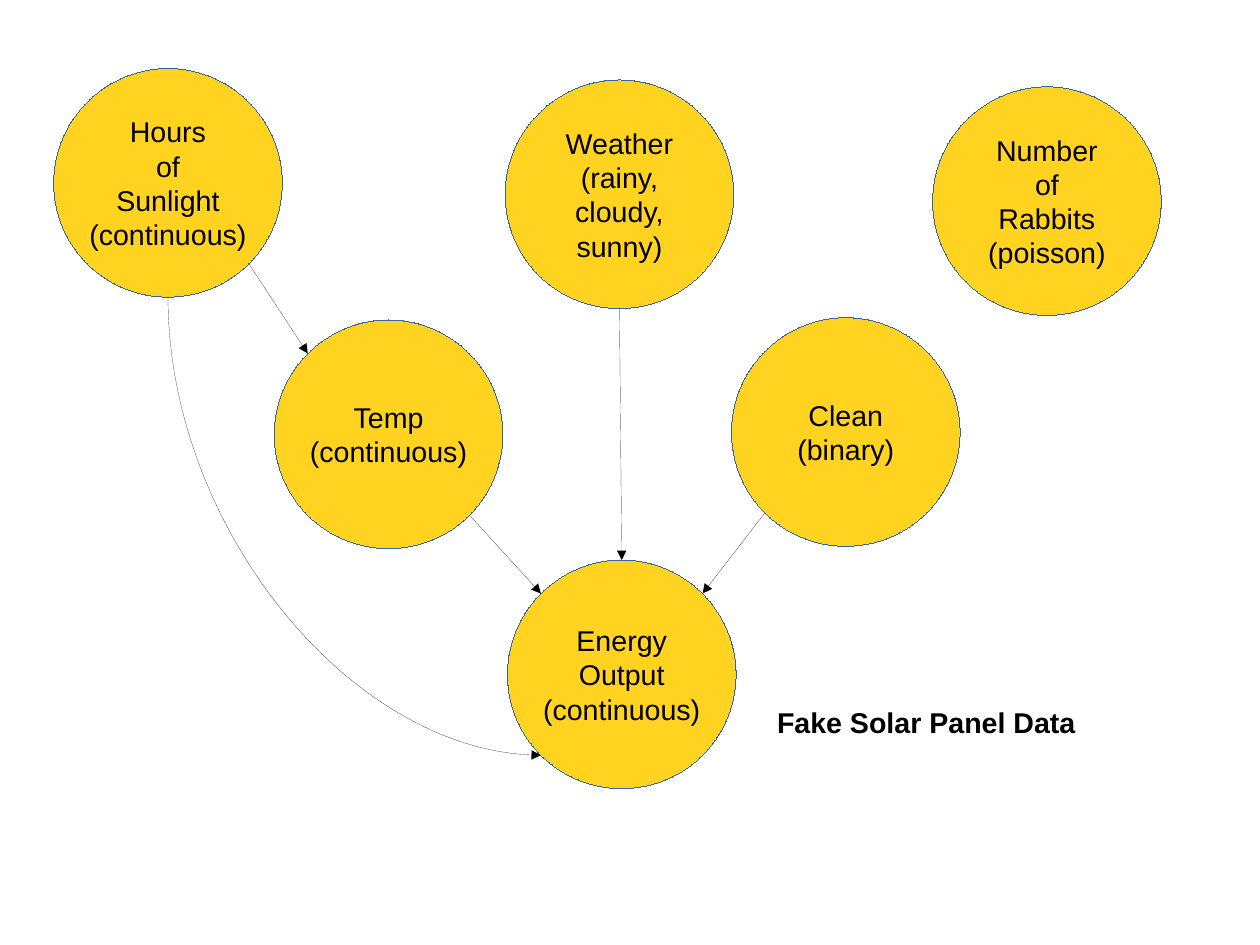
from math import cos, pi, sin

from lxml import etree
from pptx import Presentation
from pptx.dml.color import RGBColor
from pptx.enum.shapes import MSO_CONNECTOR, MSO_SHAPE
from pptx.enum.text import MSO_ANCHOR, MSO_AUTO_SIZE, PP_ALIGN
from pptx.oxml.ns import qn
from pptx.util import Cm, Inches, Pt

OVAL = MSO_SHAPE.OVAL
STRAIGHT, CURVE = MSO_CONNECTOR.STRAIGHT, MSO_CONNECTOR.CURVE
MIDDLE, CENTER = MSO_ANCHOR.MIDDLE, PP_ALIGN.CENTER
GROW = MSO_AUTO_SIZE.SHAPE_TO_FIT_TEXT

YELLOW = RGBColor(0xFF, 0xD3, 0x20)
BLUE = RGBColor(0x34, 0x65, 0xA4)
BLACK = RGBColor(0, 0, 0)
HAIR = Pt(0.01)

# Content: each node has a left, a top and its lines of text
WIDTH, HEIGHT = Cm(28), Cm(21)
SIZE = 2
NODES = {
    "sun": (0.47, 0.6, "Hours\nof\nSunlight\n(continuous)"),
    "weather": (4.42, 0.7, "Weather\n(rainy,\ncloudy,\nsunny)"),
    "temp": (2.4, 2.8, "Temp\n(continuous)"),
    "clean": (6.4, 2.78, "Clean\n(binary)"),
    "rabbits": (8.16, 0.76, "Number\nof\nRabbits\n(poisson)"),
    "energy": (4.44, 4.9, "Energy\nOutput\n(continuous)"),
}
# Sites of a circle, in eighths of a turn counterclockwise from the top
TOP, TOP_LEFT, LOW_LEFT, BOTTOM, LOW_RIGHT, TOP_RIGHT = 0, 1, 3, 4, 5, 7
ARROWS = [
    ("temp", LOW_RIGHT, "energy", TOP_LEFT),
    ("weather", BOTTOM, "energy", TOP),
    ("clean", LOW_LEFT, "energy", TOP_RIGHT),
    ("sun", LOW_RIGHT, "temp", TOP_LEFT),
]
BEND = ("sun", BOTTOM, "energy", LOW_LEFT)
TITLE = "Fake Solar Panel Data"
TITLE_BOX = (6.7, 6.12, 3.1, 0.38)


def style(frame, bold=False, align=None):
    for para in frame.paragraphs:
        para.alignment = align
        for run in para.runs:
            run.font.name = "Arial"
            run.font.size = Pt(18)
            run.font.bold = bold
            run.font.color.rgb = BLACK


def site(name, index):
    left, top, _ = NODES[name]
    angle, half = index * pi / 4, SIZE / 2
    return left + half - half * sin(angle), top + half - half * cos(angle)


def link(kind, start, end):
    line = slide.shapes.add_connector(kind, *map(Inches, start + end))
    line.line.color.rgb = BLACK
    line.line.width = HAIR
    props = line._element.spPr
    etree.SubElement(props.find(qn("a:ln")), qn("a:tailEnd"), type="triangle")
    etree.SubElement(props, qn("a:effectLst"))
    return line


def glue(line, *ends):
    holder = line._element.find(".//" + qn("p:cNvCxnSpPr"))
    for tag, (name, index) in zip(("a:stCxn", "a:endCxn"), ends):
        etree.SubElement(holder, qn(tag), id=str(circles[name].shape_id),
                         idx=str(index))


prs = Presentation()
prs.slide_width, prs.slide_height = WIDTH, HEIGHT
slide = prs.slides.add_slide(prs.slide_layouts[6])

# Circles
circles = {}
for name, (left, top, text) in NODES.items():
    node = slide.shapes.add_shape(OVAL, *map(Inches, (left, top, SIZE, SIZE)))
    node.shadow.inherit = False
    node.fill.solid()
    node.fill.fore_color.rgb = YELLOW
    node.line.color.rgb = BLUE
    node.line.width = HAIR
    frame = node.text_frame
    frame.text = text
    frame.word_wrap = False
    frame.vertical_anchor = MIDDLE
    style(frame, align=CENTER)
    circles[name] = node

# Straight arrows
for source, out, target, into in ARROWS:
    line = link(STRAIGHT, site(source, out), site(target, into))
    glue(line, (source, out), (target, into))

# Curved arrow: a quarter bend, turned so that it leaves downwards
source, out, target, into = BEND
(x1, y1), (x2, y2) = site(source, out), site(target, into)
wide, high = x2 - x1, y2 - y1
bend = link(CURVE, (x1, y1), (x2, y2))
bend.left = Inches((x1 + x2 - high) / 2)
bend.top = Inches((y1 + y2 - wide) / 2)
bend.width, bend.height = Inches(high), Inches(wide)
props = bend._element.spPr
props.find(qn("a:prstGeom")).set("prst", "curvedConnector2")
turn = props.find(qn("a:xfrm"))
turn.set("rot", str(270 * 60000))
turn.set("flipH", "1")

# Title
box = slide.shapes.add_textbox(*map(Inches, TITLE_BOX))
box.text_frame.text = TITLE
box.text_frame.word_wrap = True
box.text_frame.auto_size = GROW
style(box.text_frame, bold=True)

prs.save("out.pptx")
